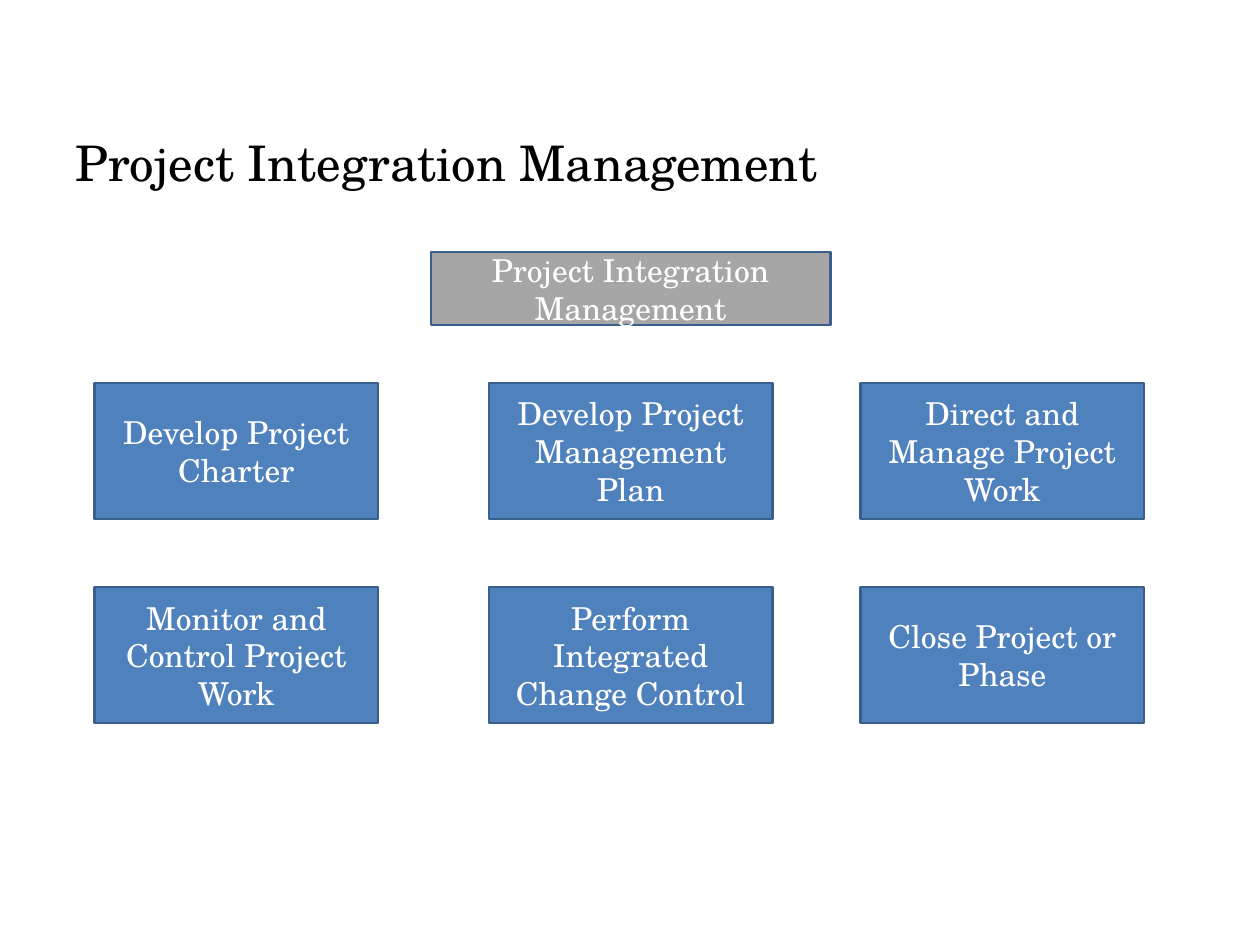
from pptx import Presentation
from pptx.dml.color import RGBColor
from pptx.enum.shapes import MSO_SHAPE as Shape
from pptx.enum.text import MSO_ANCHOR as Anchor, PP_ALIGN as Align
from pptx.util import Inches, Pt

TYPEFACE = "TeX Gyre Schola"
PROCESS_COLUMNS = (0, 3.13, 6.08)
PROCESS_ROWS = (0, 1.62)
PROCESS_SIZE = (2.25, 1.08)
PROCESSES = (
    ("Develop Project Charter", "Develop Project Management Plan",
     "Direct and Manage Project Work"),
    ("Monitor and Control Project Work", "Perform Integrated Change Control",
     "Close Project or Phase"),
)


def color(value):
    """Return the colour for a hex string."""
    return RGBColor.from_string(value)


def apply_format(target, values):
    """Set each attribute named in values on target."""
    for name, value in values.items():
        setattr(target, name, value)


def write(frame, words, size, ink, align, anchor):
    """Write one formatted paragraph into a text frame."""
    apply_format(frame, {"text": words, "word_wrap": True, "vertical_anchor": anchor})
    paragraph = frame.paragraphs[0]
    paragraph.alignment = align
    apply_format(paragraph.runs[0].font, {"name": TYPEFACE, "size": Pt(size), "bold": False})
    paragraph.runs[0].font.color.rgb = color(ink)


def add_title(slide, left, top, width, height):
    """Move the title placeholder into the box and fill it."""
    heading = slide.shapes.title
    apply_format(heading, {"left": Inches(left), "top": Inches(top),
                           "width": Inches(width), "height": Inches(height)})
    write(heading.text_frame, "Project Integration Management", 28, "000000",
          Align.LEFT, Anchor.TOP)


def add_block(slide, words, fill, left, top, width, height):
    """Draw one outlined rectangle with a centred label."""
    block = slide.shapes.add_shape(
        Shape.RECTANGLE, Inches(left), Inches(top), Inches(width), Inches(height))
    block.shadow.inherit = False
    block.fill.solid()
    block.fill.fore_color.rgb = color(fill)
    block.line.color.rgb = color("3A5F8C")
    block.line.width = Pt(1.5)
    write(block.text_frame, words, 18, "FFFFFF", Align.CENTER, Anchor.MIDDLE)


def add_processes(slide, left, top):
    """Lay out the process blocks in a grid from the given corner."""
    for row_offset, row in zip(PROCESS_ROWS, PROCESSES):
        for column_offset, process in zip(PROCESS_COLUMNS, row):
            add_block(slide, process, "4F81BD", left + column_offset,
                      top + row_offset, *PROCESS_SIZE)


def main():
    """Build the slide and save it."""
    deck = Presentation()
    apply_format(deck, {"slide_width": Inches(10), "slide_height": Inches(7.5)})
    slide = deck.slides.add_slide(deck.slide_layouts[5])
    add_title(slide, 0.5, 1, 9, 1)
    add_block(slide, "Project Integration Management", "A6A6A6", 3.42, 2, 3.17, 0.58)
    add_processes(slide, 0.75, 3.04)
    deck.save("out.pptx")


if __name__ == "__main__":
    main()
